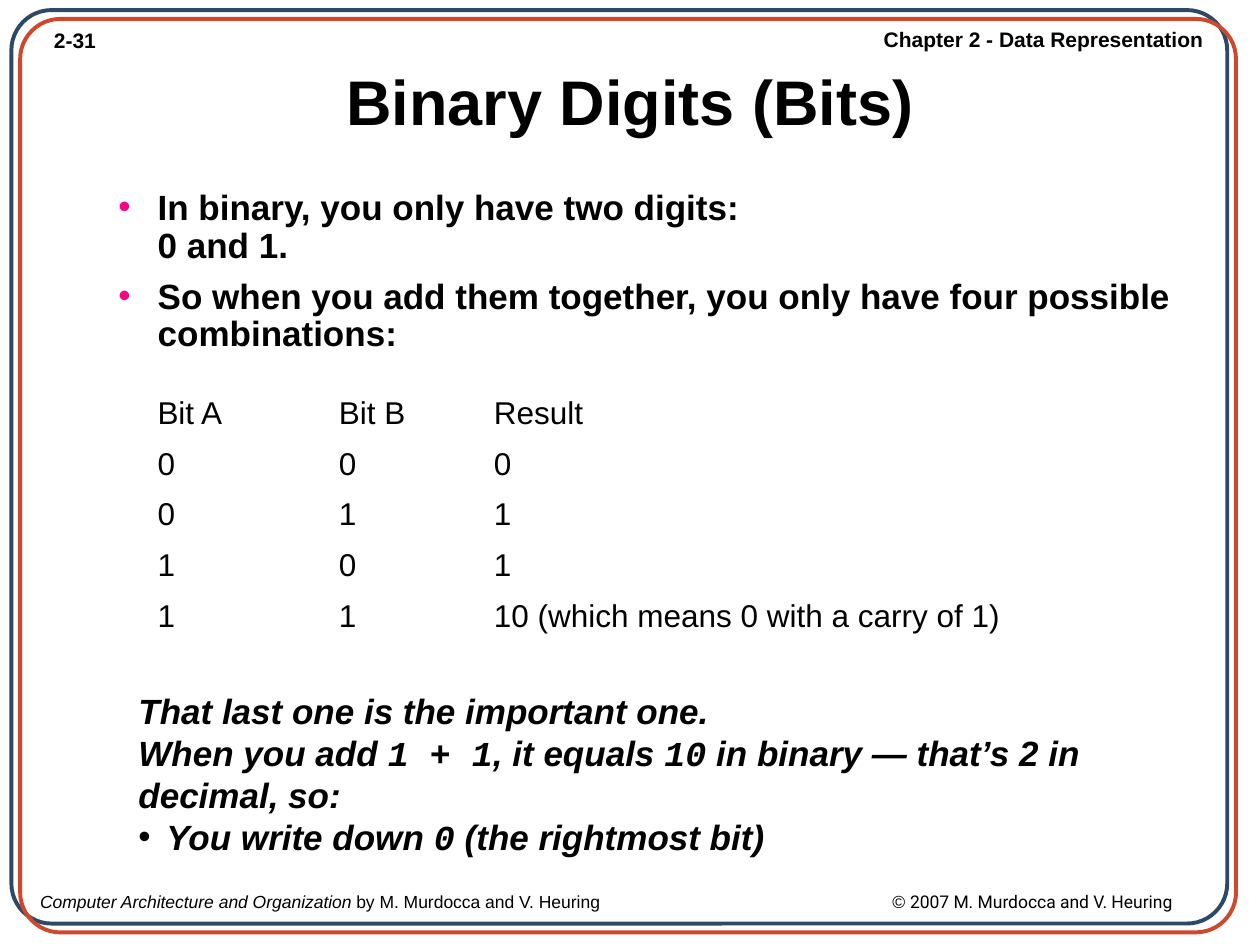
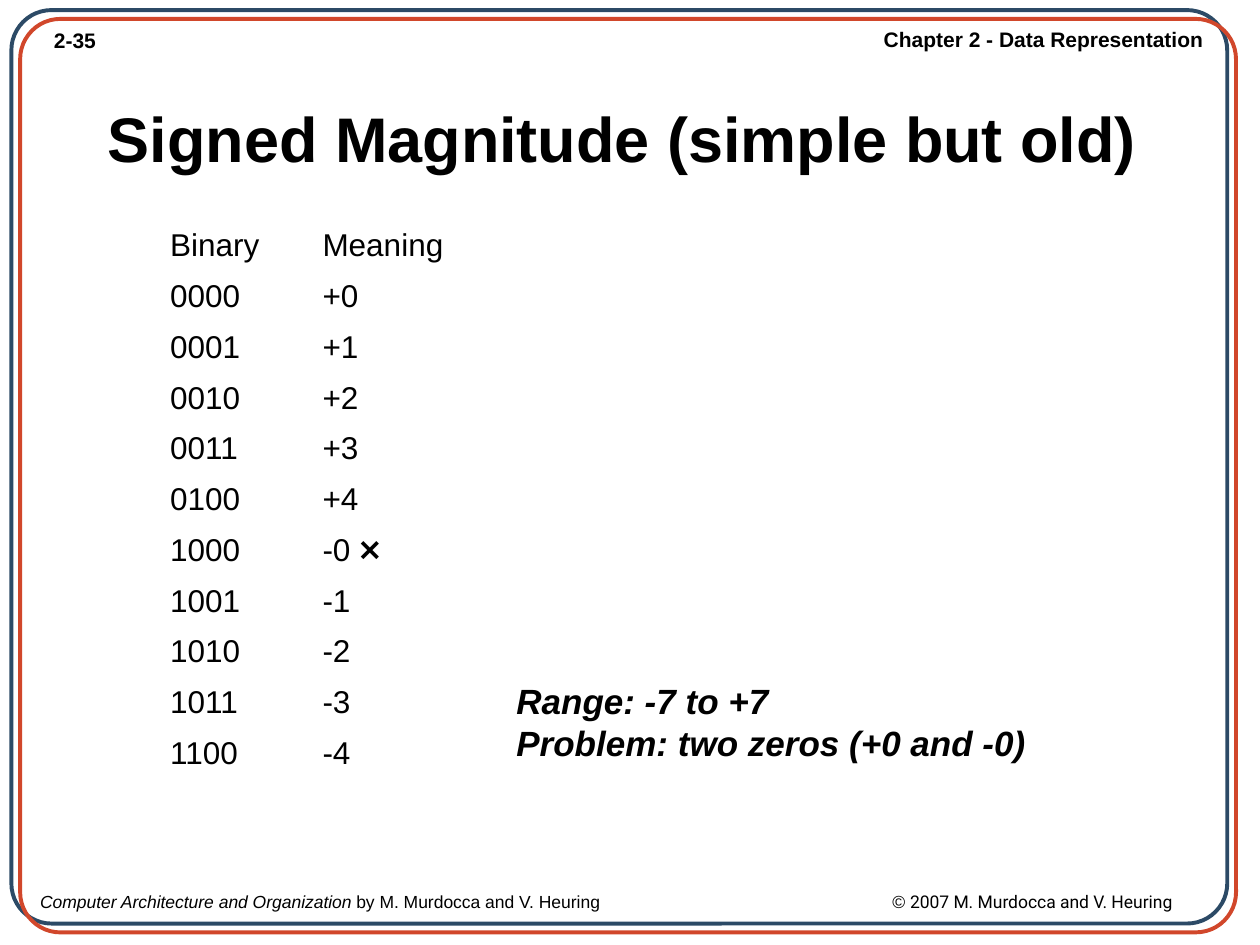
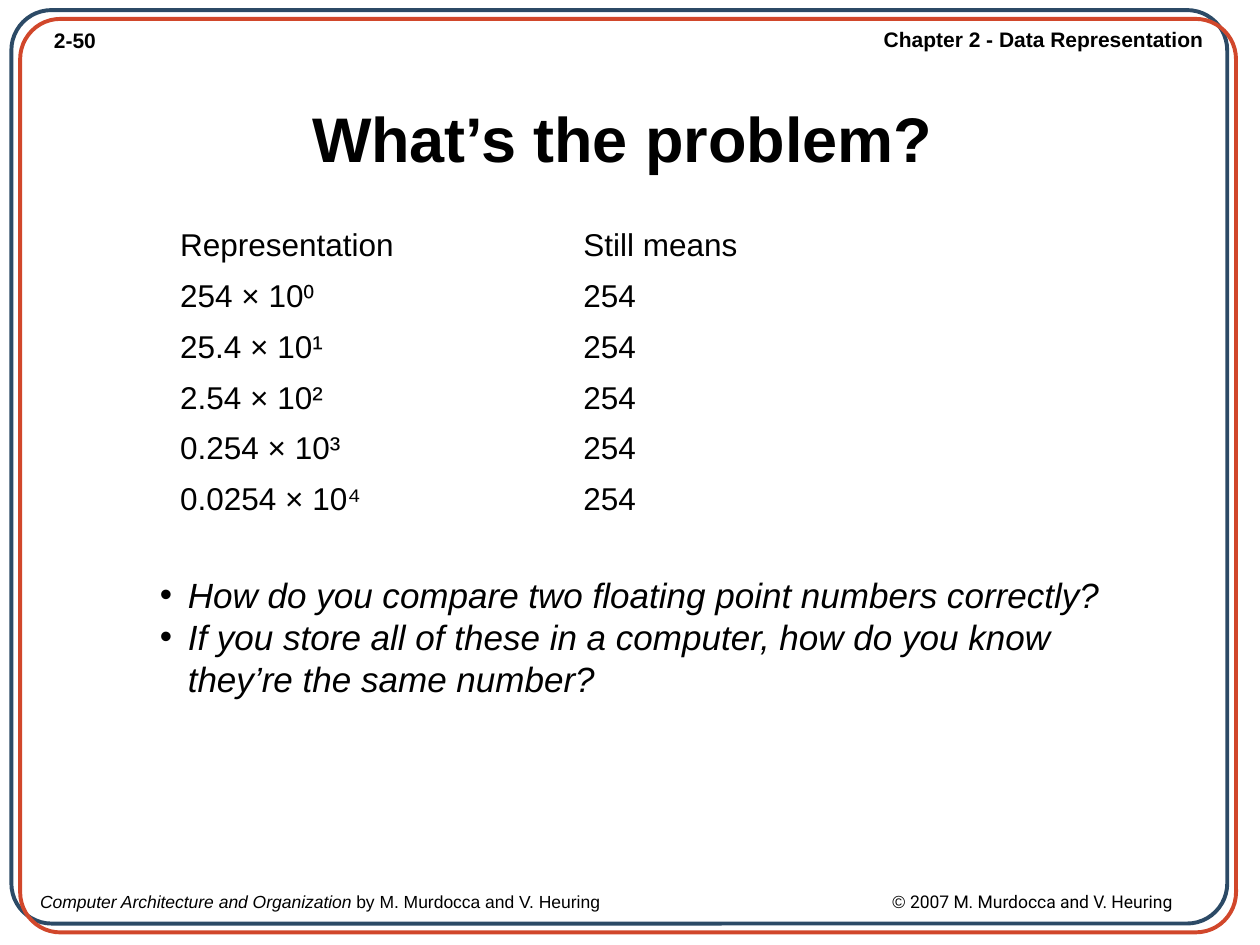
from dataclasses import dataclass, field

import pptx
import pptx.dml.color
import pptx.enum.shapes
import pptx.enum.text
import pptx.oxml
import pptx.oxml.ns
import pptx.util

Pt = pptx.util.Pt
ALIGN = pptx.enum.text.PP_ALIGN
ANCHOR = pptx.enum.text.MSO_ANCHOR
FIT = pptx.enum.text.MSO_AUTO_SIZE
ROUND = pptx.enum.shapes.MSO_SHAPE.ROUNDED_RECTANGLE

# Shared colours and text formats
BLACK, PINK, NAVY, RED = "000000", "F20884", "2C4A66", "D1472B"
BASE = {"name": "Arial", "bold": False, "italic": False}
TITLE = BASE | {"size": Pt(36), "bold": True}
BODY = BASE | {"size": Pt(20), "bold": True}
NOTE = BODY | {"italic": True}
ASK = NOTE | {"bold": False}
CELL = BASE | {"size": Pt(18)}
HEAD = BASE | {"size": Pt(12), "bold": True}
FOOT = BASE | {"size": Pt(10)}
CODE = {"name": "Courier New"}
ROW = 29


@dataclass
class Span:
    text: str
    style: dict = field(default_factory=dict)


@dataclass
class Para:
    spans: list[Span]
    bullet: str = ""
    indent: float = 0
    tab: float = 0
    style: dict = field(default_factory=dict)


@dataclass
class Box:
    left: float
    top: float
    width: float
    height: float
    style: dict
    paras: list[Para]
    frame: dict = field(default_factory=dict)


@dataclass
class Grid:
    left: float
    top: float
    widths: list[float]
    rows: list[list[str]]


@dataclass
class Page:
    number: str
    content: list[Box | Grid]


def color(code: str) -> pptx.dml.color.RGBColor:
    return pptx.dml.color.RGBColor.from_string(code)


def apply(target, values: dict) -> None:
    for name, value in values.items():
        setattr(target, name, value)


def line(text: str, **values) -> Para:
    return Para([Span(text)], **values)


def add_xml(parent, tag: str, body: str = "", **values: str) -> None:
    space = pptx.oxml.ns.nsdecls("a")
    child = pptx.oxml.parse_xml(f"<a:{tag} {space}>{body}</a:{tag}>")
    for name, value in values.items():
        child.set(name, value)
    parent.append(child)


def fill_para(target, para: Para, style: dict) -> None:
    props = target._p.get_or_add_pPr()
    if para.bullet:
        props.set("marL", str(Pt(para.indent)))
        props.set("indent", str(-Pt(para.indent)))
        add_xml(props, "buClr", f'<a:srgbClr val="{para.bullet}"/>')
        add_xml(props, "buFont", typeface="Arial")
        add_xml(props, "buChar", char="•")
    if para.tab:
        add_xml(props, "tabLst", f'<a:tab pos="{Pt(para.tab)}" algn="l"/>')
    apply(target, para.style)
    for span in para.spans:
        for index, text in enumerate(span.text.split("\n")):
            if index:
                target.add_line_break()
            run = target.add_run()
            run.text = text
            apply(run.font, style | span.style)
            run.font.color.rgb = color(BLACK)


def draw_box(slide, box: Box) -> None:
    shape = slide.shapes.add_textbox(Pt(box.left), Pt(box.top), Pt(box.width), Pt(box.height))
    frame = shape.text_frame
    apply(frame, {"word_wrap": True} | box.frame)
    for index, para in enumerate(box.paras):
        fill_para(frame.add_paragraph() if index else frame.paragraphs[0], para, box.style)


def draw_grid(slide, grid: Grid) -> None:
    count = len(grid.rows)
    table = slide.shapes.add_table(count, len(grid.widths), Pt(grid.left), Pt(grid.top),
                                   Pt(sum(grid.widths)), Pt(ROW * count)).table
    apply(table, {"first_row": False, "horz_banding": False})
    for column, width in zip(table.columns, grid.widths):
        column.width = Pt(width)
    for row, texts in zip(table.rows, grid.rows):
        row.height = Pt(ROW)
        for cell, text in zip(row.cells, texts):
            cell.fill.background()
            cell.vertical_anchor = ANCHOR.MIDDLE
            fill_para(cell.text_frame.paragraphs[0], line(text), CELL)


def draw_border(slide, left: float, top: float, code: str) -> None:
    shape = slide.shapes.add_shape(ROUND, Pt(left), Pt(top), Pt(694.8), Pt(522))
    shape.adjustments[0] = 0.044
    shape.shadow.inherit = False
    shape.fill.background()
    shape.line.color.rgb = color(code)
    shape.line.width = Pt(2.25)


def title(text: str, left: float = 17.28, top: float = 36) -> Box:
    style = {"alignment": ALIGN.CENTER, "line_spacing": 0.9}
    return Box(left, top, 676.8, 90, TITLE, [line(text, style=style)],
               {"vertical_anchor": ANCHOR.MIDDLE})


def draw_page(deck, page: Page) -> None:
    slide = deck.slides.add_slide(deck.slide_layouts[6])
    # Header, footer and double border
    draw_box(slide, Box(23.76, 12.24, 40.32, 21.6, HEAD, [line(page.number)], GROW))
    draw_box(slide, Box(497.52, 11.52, 197.28, 21.6, HEAD,
                        [line("Chapter 2 - Data Representation",
                              style={"alignment": ALIGN.RIGHT})],
                        GROW | {"word_wrap": False}))
    draw_box(slide, Box(15.84, 505.44, 704.16, 18.72, FOOT, [Para([
        Span("Computer Architecture and Organization ", {"italic": True}),
        Span("by M. Murdocca and V. Heuring\t© "),
        Span("2007 M. Murdocca and V. Heuring", {"name": "Roboto"}),
    ], tab=487)], GROW))
    draw_border(slide, 6.48, 5.76, NAVY)
    draw_border(slide, 11.52, 10.8, RED)
    # Page content
    for item in page.content:
        if isinstance(item, Grid):
            draw_grid(slide, item)
        else:
            draw_box(slide, item)


GROW = {"auto_size": FIT.SHAPE_TO_FIT_TEXT}
DOT = {"bullet": BLACK, "indent": 16}
POINT = {"bullet": PINK, "indent": 22.5}

PAGES = [
    Page("2-31", [
        title("Binary Digits (Bits)", 21.6, 15.12),
        Box(60.48, 105.12, 637.2, 324, BODY, [
            line("In binary, you only have two digits:\n0 and 1.",
                 style={"line_spacing": 0.9}, **POINT),
            line("So when you add them together, you only have four possible combinations:",
                 style={"line_spacing": 0.9, "space_before": Pt(7.5)}, **POINT),
        ]),
        Grid(82.8, 221.76, [103.68, 88.56, 362.16], [
            ["Bit A", "Bit B", "Result"],
            ["0", "0", "0"],
            ["0", "1", "1"],
            ["1", "0", "1"],
            ["1", "1", "10 (which means 0 with a carry of 1)"],
        ]),
        Box(72, 390.24, 565.2, 103.68, NOTE, [
            Para([Span("That last one is the important one.\nWhen you add "),
                  Span("1 + 1", CODE), Span(", it equals "), Span("10", CODE),
                  Span(" in binary — that’s 2 in decimal, so:")]),
            Para([Span("You write down "), Span("0", CODE),
                  Span(" (the rightmost bit)")], **DOT),
        ], GROW),
    ]),
    Page("2-35", [
        title("Signed Magnitude (simple but old)"),
        Grid(90, 126, [87.12] * 2, [
            ["Binary", "Meaning"],
            *([f"{n:04b}", f"+{n}"] for n in range(5)),
            ["1000", "-0 ❌"],
            *([f"{8 + n:04b}", f"-{n}"] for n in range(1, 5)),
        ]),
        Box(288, 384.48, 360, 55.44, NOTE,
            [line("Range: -7 to +7\nProblem: two zeros (+0 and -0)")], GROW),
    ]),
    Page("2-50", [
        title("What’s the problem?"),
        Grid(95.76, 126, [230.4] * 2, [
            ["Representation", "Still means"],
            *([f"{number} × 10{power}", "254"] for number, power in
              zip(["254", "25.4", "2.54", "0.254", "0.0254"], "⁰¹²³⁴")),
        ]),
        Box(84.24, 324, 581.76, 79.2, ASK, [
            line("How do you compare two floating point numbers correctly?", **DOT),
            line("If you store all of these in a computer, how do you know "
                 "they’re the same number?", **DOT),
        ], GROW | {"vertical_anchor": ANCHOR.MIDDLE}),
    ]),
]


def main() -> None:
    deck = pptx.Presentation()
    apply(deck, {"slide_width": Pt(720), "slide_height": Pt(540)})
    for page in PAGES:
        draw_page(deck, page)
    deck.save("out.pptx")


if __name__ == "__main__":
    main()
